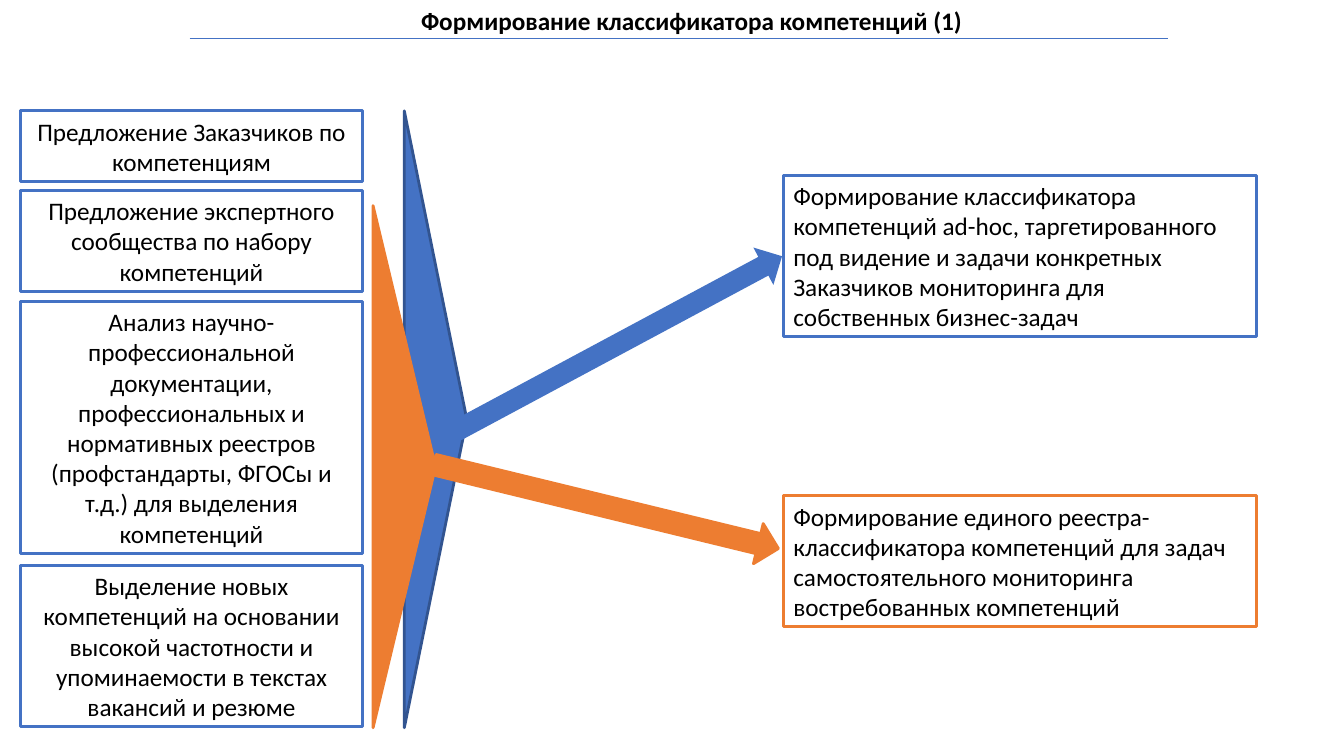
from dataclasses import dataclass
from typing import Optional

from lxml.etree import SubElement
from pptx import Presentation
from pptx.dml.color import RGBColor
from pptx.enum.shapes import MSO_CONNECTOR, MSO_SHAPE
from pptx.enum.text import MSO_ANCHOR, PP_ALIGN
from pptx.oxml.ns import qn
from pptx.shapes.autoshape import Shape
from pptx.slide import Slide
from pptx.text.text import TextFrame
from pptx.util import Inches, Pt

BLACK = RGBColor(0x00, 0x00, 0x00)
WHITE = RGBColor(0xFF, 0xFF, 0xFF)
BLUE = RGBColor(0x44, 0x72, 0xC4)
DARK_BLUE = RGBColor(0x32, 0x54, 0x90)
ORANGE = RGBColor(0xED, 0x7D, 0x31)

FONT = "Calibri"
TEXT_SIZE = Pt(18)
OUTLINE = Pt(2)
SOURCE_LEFT, SOURCE_WIDTH = 0.2, 3.4
RESULT_LEFT, RESULT_WIDTH = 7.77, 4.69


@dataclass(frozen=True)
class Box:
    text: str
    top: float
    height: float
    outline: RGBColor = BLUE


@dataclass(frozen=True)
class Arrow:
    left: float
    top: float
    width: float
    height: float
    fill: RGBColor
    outline: Optional[RGBColor]
    head: float = 0.5
    rotation: float = 0


SOURCES = [
    Box("Предложение Заказчиков по компетенциям", 1.1, 0.7),
    Box("Предложение экспертного сообщества по набору компетенций", 1.89, 1.0),
    Box("Анализ научно-профессиональной документации, профессиональных и "
        "нормативных реестров (профстандарты, ФГОСы и т.д.) для выделения "
        "компетенций", 2.99, 2.5),
    Box("Выделение новых компетенций на основании высокой частотности и "
        "упоминаемости в текстах вакансий и резюме", 5.61, 1.6),
]
RESULTS = [
    Box("Формирование классификатора компетенций ad-hoc, таргетированного под "
        "видение и задачи конкретных Заказчиков мониторинга для собственных "
        "бизнес-задач", 1.74, 1.6),
    Box("Формирование единого реестра-классификатора компетенций для задач "
        "самостоятельного мониторинга востребованных компетенций",
        4.92, 1.3, ORANGE),
]
ALL_SOURCES_FUNNEL = Arrow(4.01, 1.1, 0.62, 6.12, BLUE, DARK_BLUE, head=1)
REGISTRY_FUNNEL = Arrow(3.7, 2.04, 0.62, 5.18, ORANGE, ORANGE, head=1)
TO_REGISTRY = Arrow(4.25, 4.82, 3.52, 0.41, ORANGE, ORANGE, rotation=13.7)
TO_AD_HOC = Arrow(4.22, 3.22, 3.76, 0.42, BLUE, None, rotation=331.8)


def write(frame: TextFrame, text: str, align: PP_ALIGN, bold: bool = False) -> None:
    frame.word_wrap = True
    paragraph = frame.paragraphs[0]
    paragraph.alignment = align
    run = paragraph.add_run()
    run.text = text
    run.font.name = FONT
    run.font.size = TEXT_SIZE
    run.font.bold = bold
    run.font.color.rgb = BLACK


def paint(shape: Shape, fill: RGBColor, outline: Optional[RGBColor]) -> None:
    shape.shadow.inherit = False
    shape.fill.solid()
    shape.fill.fore_color.rgb = fill
    if outline is None:
        shape.line.fill.background()
    else:
        shape.line.color.rgb = outline
        shape.line.width = OUTLINE


def add_box(slide: Slide, box: Box, left: float, width: float, align: PP_ALIGN) -> None:
    rectangle = slide.shapes.add_shape(
        MSO_SHAPE.RECTANGLE, Inches(left), Inches(box.top),
        Inches(width), Inches(box.height))
    paint(rectangle, WHITE, box.outline)
    rectangle.text_frame.vertical_anchor = MSO_ANCHOR.TOP
    write(rectangle.text_frame, box.text, align)


def add_arrow(slide: Slide, arrow: Arrow) -> None:
    block = slide.shapes.add_shape(
        MSO_SHAPE.RIGHT_ARROW, Inches(arrow.left), Inches(arrow.top),
        Inches(arrow.width), Inches(arrow.height))
    block.adjustments[0] = 0.5
    block.adjustments[1] = arrow.head
    block.rotation = arrow.rotation
    paint(block, arrow.fill, arrow.outline)


def add_heading(slide: Slide) -> None:
    heading = slide.shapes.add_textbox(
        Inches(2.26), Inches(0), Inches(9.2), Inches(0.4))
    write(heading.text_frame, "Формирование классификатора компетенций (1)",
          PP_ALIGN.CENTER, bold=True)
    underline = slide.shapes.add_connector(
        MSO_CONNECTOR.STRAIGHT, Inches(1.88), Inches(0.38),
        Inches(11.58), Inches(0.38))
    underline.line.color.rgb = BLUE
    underline.line.width = Pt(0.75)
    SubElement(underline._element.spPr, qn("a:effectLst"))


def main() -> None:
    presentation = Presentation()
    presentation.slide_width = Inches(13.33)
    presentation.slide_height = Inches(7.5)
    slide = presentation.slides.add_slide(presentation.slide_layouts[6])

    add_heading(slide)
    for source in SOURCES:
        add_box(slide, source, SOURCE_LEFT, SOURCE_WIDTH, PP_ALIGN.CENTER)
    for arrow in (ALL_SOURCES_FUNNEL, TO_REGISTRY, TO_AD_HOC):
        add_arrow(slide, arrow)
    for result in RESULTS:
        add_box(slide, result, RESULT_LEFT, RESULT_WIDTH, PP_ALIGN.LEFT)
    add_arrow(slide, REGISTRY_FUNNEL)

    presentation.save("out.pptx")


if __name__ == "__main__":
    main()
